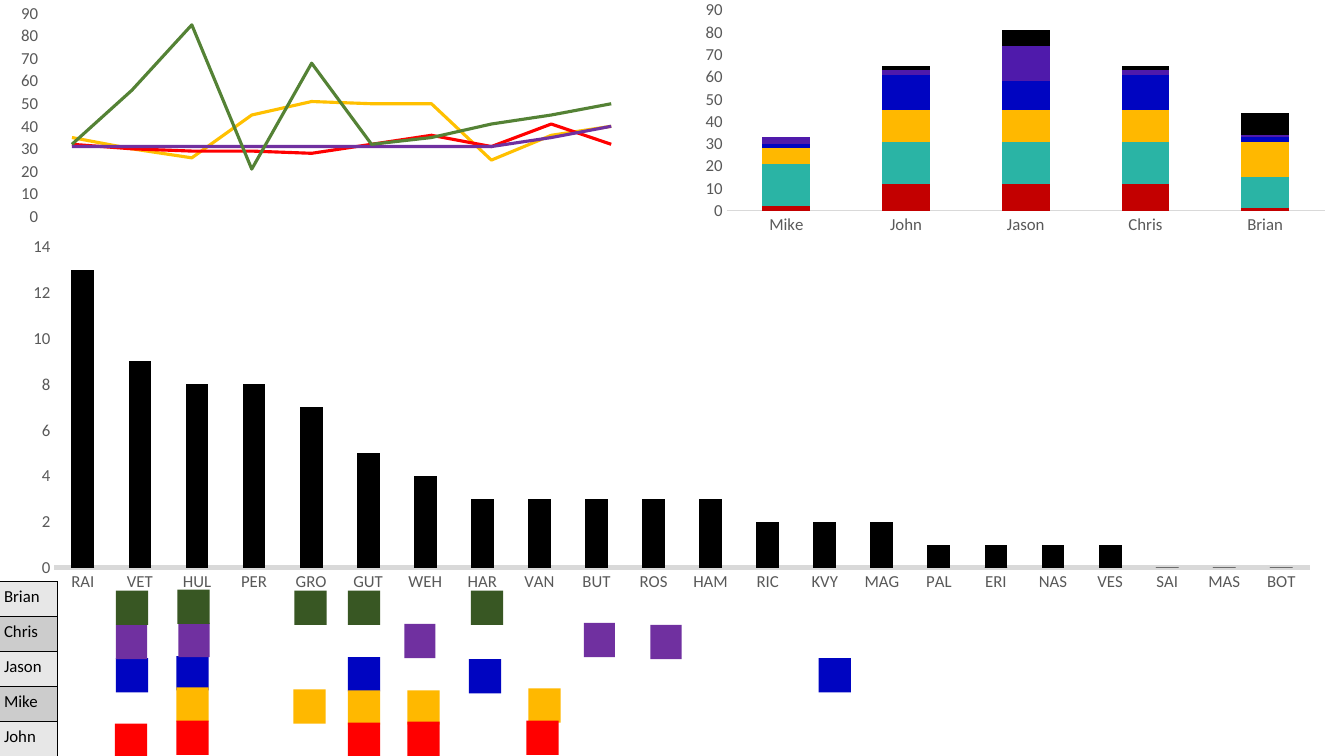
"""Build a slide of three charts, a name table and a grid of coloured marks."""
import pptx
import pptx.chart.data
import pptx.dml.color
import pptx.enum.chart
import pptx.enum.shapes
import pptx.oxml
import pptx.oxml.ns
import pptx.util

Inches, Pt = pptx.util.Inches, pptx.util.Pt
Kind = pptx.enum.chart.XL_CHART_TYPE
Tick = pptx.enum.chart.XL_TICK_MARK
NS = pptx.oxml.ns.nsdecls


def paint(fill, tone):
    fill.solid()
    fill.fore_color.rgb = pptx.dml.color.RGBColor.from_string(tone)


def plot(kind, place, cats, rows, top, step, frame, base):
    data = pptx.chart.data.CategoryChartData()
    data.categories = cats
    for i, (tone, vals) in enumerate(rows, 1):
        data.add_series(f"Series {i}", vals)
    chart = slide.shapes.add_chart(kind, *map(Inches, place), data).chart
    chart.has_legend = chart.has_title = False
    chart.font.name, chart.font.size = "Calibri", Pt(10)
    for axis in (chart.category_axis, chart.value_axis):
        axis.has_major_gridlines = False
        axis.major_tick_mark = axis.minor_tick_mark = Tick.NONE
        font = axis.tick_labels.font
        font.name, font.size = "Calibri", Pt(12)
        paint(font.fill, "595959")
    scale = chart.value_axis
    scale.minimum_scale, scale.maximum_scale, scale.major_unit = 0, top, step
    scale.format.line.fill.background()
    if base:
        paint(chart.category_axis.format.line.fill, "D9D9D9")
        chart.category_axis.format.line.width = Pt(base)
    else:
        chart.category_axis.visible = False
    group = chart.plots[0]
    group.vary_by_categories = False
    if kind == Kind.COLUMN_STACKED:
        group.gap_width, group.overlap = 150, 100
    for series, (tone, vals) in zip(group.series, rows):
        if kind == Kind.LINE:
            series.smooth = False
            paint(series.format.line.fill, tone)
            series.format.line.width = Pt(2.25)
        else:
            paint(series.format.fill, tone)
    area = chart._chartSpace.find(".//" + pptx.oxml.ns.qn("c:plotArea"))
    for old in area.findall(pptx.oxml.ns.qn("c:layout")):
        area.remove(old)
    spots = "".join(f'<c:{tag} val="{val}"/>' for tag, val in zip("xywh", frame))
    area.insert(0, pptx.oxml.parse_xml(
        f'<c:layout {NS("c")}><c:manualLayout><c:layoutTarget val="inner"/>'
        f'<c:xMode val="edge"/><c:yMode val="edge"/>{spots}'
        '</c:manualLayout></c:layout>'))


deck = pptx.Presentation()
deck.slide_width, deck.slide_height = Inches(13.33), Inches(7.5)
slide = deck.slides.add_slide(deck.slide_layouts[6])

codes = ("RAI VET HUL PER GRO GUT WEH HAR VAN BUT ROS HAM RIC KVY MAG "
         "PAL ERI NAS VES SAI MAS BOT").split()
pair = [6, 4, 3, 3, 1, 1, 2, 0, 0, 0, 1] + [0] * 11
counts = [
    [0, 1, 1, 1, 2, 2, 0, 2, 3, 2, 0, 2, 2, 1, 2, 1, 0, 1, 1, 0, 0, 0],
    pair,
    pair,
    [1, 0, 1, 1, 1, 1, 0, 1, 0, 1, 1, 1, 0, 1, 0, 0, 1, 0, 0, 0, 0, 0],
    [0] * 4 + [2] + [0] * 17,
]
plot(Kind.COLUMN_STACKED, (0.05, 2.27, 13.22, 3.68), codes,
     [("000000", vals) for vals in counts], 14, 2,
     (0.037, 0.049, 0.942, 0.865), 3.25)

stacks = [
    ("C30000", [2, 12, 12, 12, 1]),
    ("2AB4A5", [19, 19, 19, 19, 14]),
    ("FFB800", [7, 14, 14, 14, 16]),
    ("0005C1", [2, 16, 13, 16, 2]),
    ("4F1AAB", [3, 2, 16, 2, 1]),
    ("000000", [0, 2, 7, 2, 10]),
]
plot(Kind.COLUMN_STACKED, (6.85, 0, 6.48, 2.42),
     ["Mike", "John", "Jason", "Chris", "Brian"], stacks, 90, 10,
     (0.055, 0.042, 0.916, 0.822), 0.75)

trends = [
    ("FFC000", [35, 30, 26, 45, 51, 50, 50, 25, 36, 40]),
    ("FF0000", [32, 30, 29, 29, 28, 32, 36, 31, 41, 32]),
    ("7030A0", [31, 31, 31, 31, 31, 31, 31, 31, 35, 40]),
    ("548235", [32, 56, 85, 21, 68, 32, 35, 41, 45, 50]),
    ("4472C4", [None] * 10),
]
plot(Kind.LINE, (-0.01, 0, 6.37, 2.25), [str(n) for n in range(1, 11)],
     trends, 90, 10, (0.067, 0.06, 0.933, 0.895), None)

marks = [
    ("0005C1", 0.32, [(1.75, 6.51), (3.45, 6.52), (4.65, 6.54), (1.15, 6.53), (8.12, 6.53)]),
    ("7030A0", 0.31, [(1.77, 6.18), (4.01, 6.19), (1.15, 6.2), (5.79, 6.18), (6.45, 6.2)]),
    ("FFB800", 0.32, [(1.75, 6.82), (3.45, 6.85), (5.24, 6.83), (4.04, 6.85), (2.91, 6.84)]),
    ("FF0000", 0.32, [(1.75, 7.15), (1.14, 7.18), (3.45, 7.17), (4.04, 7.16), (5.22, 7.15)]),
    ("385723", 0.32, [(1.76, 5.85), (3.45, 5.86), (4.67, 5.86), (1.15, 5.86), (2.92, 5.86)]),
]
for tone, width, spots in marks:
    for left, top in spots:
        mark = slide.shapes.add_shape(
            pptx.enum.shapes.MSO_SHAPE.RECTANGLE,
            Inches(left), Inches(top), Inches(width), Inches(0.34))
        mark.shadow.inherit = False
        paint(mark.fill, tone)
        mark.line.fill.background()

names = ["Brian", "Chris", "Jason", "Mike", "John"]
table = slide.shapes.add_table(
    len(names), 1, Inches(-0.06), Inches(5.77), Inches(0.63), Inches(1.74)).table
table.first_row = table.horz_banding = False
for i, name in enumerate(names):
    cell = table.cell(i, 0)
    run = cell.text_frame.paragraphs[0].add_run()
    run.text = name
    run.font.name, run.font.size = "Calibri", Pt(12)
    paint(run.font.fill, "000000")
    paint(cell.fill, ("E7E7E7", "CCCCCC")[i % 2])
    props = cell._tc.get_or_add_tcPr()
    for j, side in enumerate("LRTB"):
        props.insert(j, pptx.oxml.parse_xml(
            f'<a:ln{side} {NS("a")} w="12700"><a:solidFill>'
            f'<a:srgbClr val="000000"/></a:solidFill></a:ln{side}>'))

deck.save("out.pptx")
